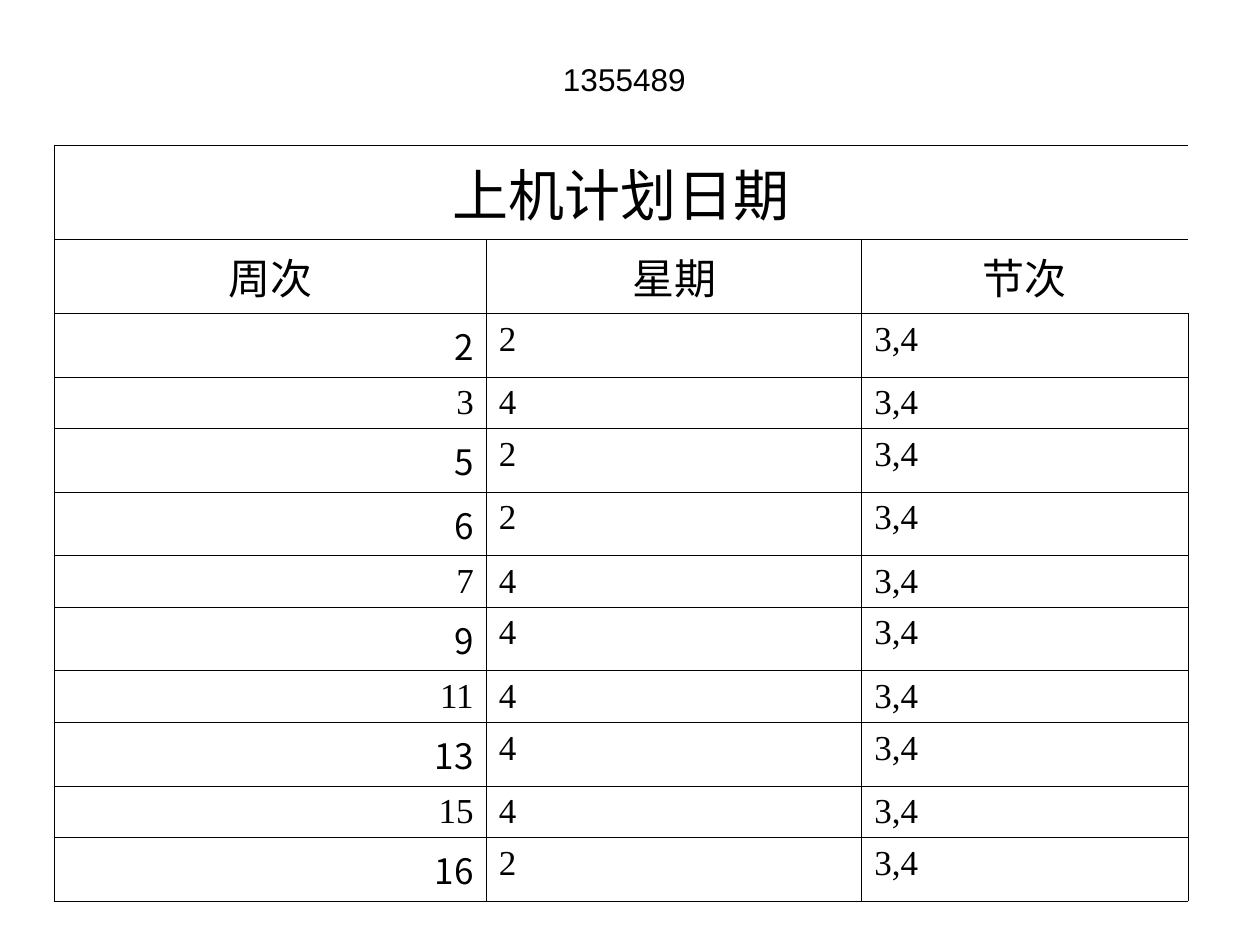
from lxml import etree
from pptx import Presentation
from pptx import util as u
from pptx.dml.color import RGBColor
from pptx.enum import text
from pptx.oxml.ns import qn

BLACK = "000000"
CJK, SERIF, SANS = "Noto Sans CJK SC", "Times New Roman", "Arial"
TITLE = "上机计划日期"
HEADINGS = ["周次", "星期", "节次"]
# Week, weekday, font of the week number
SESSIONS = [
    ("2", "2", CJK), ("3", "4", SERIF), ("5", "2", CJK), ("6", "2", CJK),
    ("7", "4", SERIF), ("9", "4", CJK), ("11", "4", SERIF),
    ("13", "4", CJK), ("15", "4", SERIF), ("16", "2", CJK),
]
PERIODS = "3,4"
COLUMN_WIDTHS = [3.43, 2.98, 2.59]
TITLE_HEIGHT, HEADING_HEIGHT = 0.75, 0.59
SESSION_HEIGHTS = {CJK: 0.5, SERIF: 0.41}


def color(value):
    return RGBColor.from_string(value)


def add_run(paragraph, words, size, font):
    run = paragraph.add_run()
    run.text = words
    run.font.size = u.Pt(size)
    run.font.name = font
    run.font.color.rgb = color(BLACK)
    east_asian = etree.SubElement(run._r.get_or_add_rPr(), qn("a:ea"))
    east_asian.set("typeface", font)


def set_borders(cell, visible):
    properties = cell._tc.get_or_add_tcPr()
    for side in "LRTB":
        line = etree.SubElement(properties, qn("a:ln" + side), w=str(u.Pt(0.45)))
        if side in visible:
            fill = etree.SubElement(line, qn("a:solidFill"))
            etree.SubElement(fill, qn("a:srgbClr"), val=BLACK)
        else:
            etree.SubElement(line, qn("a:noFill"))


def fill_cell(cell, words, size, font, align, anchor, borders="LRTB"):
    set_borders(cell, borders)
    cell.fill.background()
    cell.vertical_anchor = anchor
    paragraph = cell.text_frame.paragraphs[0]
    paragraph.alignment = align
    add_run(paragraph, words, size, font)


def add_number(slide, left, top, width, height):
    box = slide.shapes.add_textbox(left, top, width, height)
    box.text_frame.word_wrap = False
    box.text_frame.auto_size = text.MSO_AUTO_SIZE.SHAPE_TO_FIT_TEXT
    add_run(box.text_frame.paragraphs[0], "1355489", 18, SANS)


def add_schedule(slide, left, top, width, height):
    align, anchor = text.PP_ALIGN, text.MSO_ANCHOR
    table = slide.shapes.add_table(
        len(SESSIONS) + 2, len(HEADINGS), left, top, width, height).table
    table.first_row = table.horz_banding = False
    for column, column_width in zip(table.columns, COLUMN_WIDTHS):
        column.width = u.Inches(column_width)
    heights = [TITLE_HEIGHT, HEADING_HEIGHT]
    heights += [SESSION_HEIGHTS[font] for _, _, font in SESSIONS]
    for row, row_height in zip(table.rows, heights):
        row.height = u.Inches(row_height)

    # Title row, open on the right
    table.cell(0, 0).merge(table.cell(0, 2))
    fill_cell(table.cell(0, 0), TITLE, 32, CJK, align.CENTER, anchor.MIDDLE, "LTB")
    for index in (1, 2):
        set_borders(table.cell(0, index), "TB")

    # Column headings, the last one open on the right
    for index, heading in enumerate(HEADINGS):
        borders = "LTB" if index == len(HEADINGS) - 1 else "LRTB"
        fill_cell(table.cell(1, index), heading, 24, CJK,
                  align.CENTER, anchor.MIDDLE, borders)

    # Sessions
    for row, (week, weekday, font) in enumerate(SESSIONS, start=2):
        week_anchor = anchor.BOTTOM if font == CJK else anchor.TOP
        fill_cell(table.cell(row, 0), week, 20, font, align.RIGHT, week_anchor)
        for index, words in enumerate((weekday, PERIODS), start=1):
            fill_cell(table.cell(row, index), words, 20, SERIF,
                      align.JUSTIFY, anchor.TOP)


def main():
    presentation = Presentation()
    presentation.slide_width = u.Inches(10)
    presentation.slide_height = u.Inches(7.5)
    slide = presentation.slides.add_slide(presentation.slide_layouts[6])
    add_schedule(slide, u.Inches(0.43), u.Inches(1.15), u.Inches(9), u.Inches(5.98))
    add_number(slide, u.Inches(4.37), u.Inches(0.43), u.Inches(1.17), u.Inches(0.4))
    presentation.save("out.pptx")


if __name__ == "__main__":
    main()
